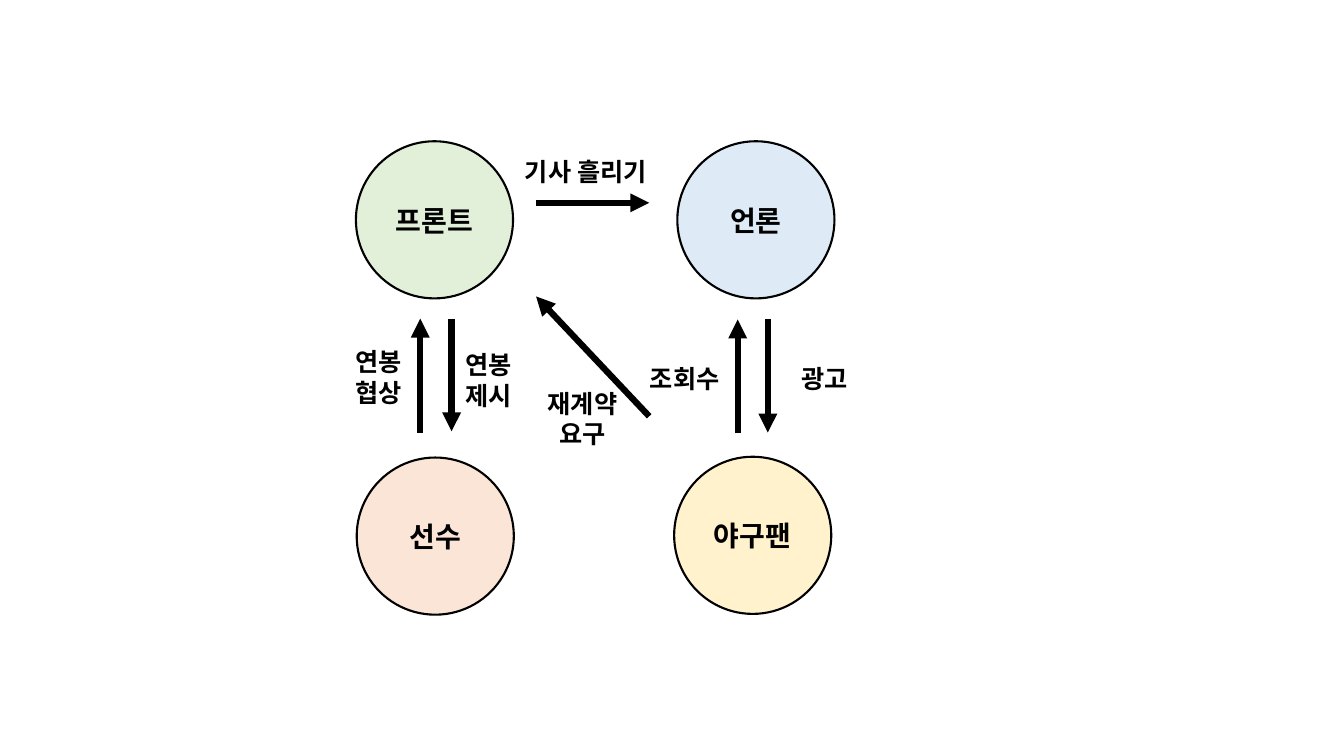
from lxml.etree import SubElement
from pptx import Presentation
from pptx.dml.color import RGBColor
from pptx.enum.shapes import MSO_CONNECTOR, MSO_SHAPE
from pptx.enum.text import MSO_ANCHOR, MSO_AUTO_SIZE, PP_ALIGN
from pptx.oxml.ns import qn
from pptx.util import Cm, Pt

FONT = "Noto Sans CJK KR"
COLORS = {
    "black": "000000",
    "green": "E2F0D9",
    "orange": "FBE5D6",
    "yellow": "FFF2CC",
    "blue": "DEEBF7",
}
DIAMETER = 3.96
LINE_HEIGHT = 0.78
LABEL_PADDING = 0.25

ACTORS = [
    ("프론트", 8.97, 3.56, "green"),
    ("선수", 8.99, 11.53, "orange"),
    ("야구팬", 16.99, 11.51, "yellow"),
    ("언론", 17.07, 3.56, "blue"),
]
ARROWS = [
    ((11.38, 8.03), (11.38, 10.87)),
    ((10.59, 10.9), (10.59, 8.03)),
    ((19.35, 8.03), (19.35, 10.9)),
    ((18.59, 10.92), (18.59, 8.05)),
    ((13.51, 5.11), (16.36, 5.11)),
    ((16.36, 10.49), (13.51, 7.47)),
]
LABELS = [
    (["조회수"], 16.13, 9.02, 2.44, PP_ALIGN.LEFT),
    (["광고"], 19.94, 9.02, 1.8, PP_ALIGN.LEFT),
    (["연봉", "협상"], 8.71, 8.61, 1.8, PP_ALIGN.LEFT),
    (["연봉", "제시"], 11.48, 8.69, 1.8, PP_ALIGN.LEFT),
    (["기사 흘리기"], 12.98, 3.81, 3.94, PP_ALIGN.LEFT),
    (["재계약", "요구"], 13.46, 9.65, 2.44, PP_ALIGN.CENTER),
]


def color(name):
    return RGBColor.from_string(COLORS[name])


def write_text(frame, lines, size=18, align=PP_ALIGN.LEFT):
    for index, line in enumerate(lines):
        paragraph = frame.add_paragraph() if index else frame.paragraphs[0]
        paragraph.alignment = align
        run = paragraph.add_run()
        run.text = line
        run.font.size = Pt(size)
        run.font.bold = True
        run.font.name = FONT
        run.font.color.rgb = color("black")
        SubElement(run.font._element, qn("a:ea"), typeface=FONT)


def add_actor(slide, name, left, top, fill):
    shape = slide.shapes.add_shape(
        MSO_SHAPE.OVAL, Cm(left), Cm(top), Cm(DIAMETER), Cm(DIAMETER))
    shape.shadow.inherit = False
    shape.fill.solid()
    shape.fill.fore_color.rgb = color(fill)
    shape.line.color.rgb = color("black")
    shape.line.width = Pt(1.5)
    shape.text_frame.vertical_anchor = MSO_ANCHOR.MIDDLE
    write_text(shape.text_frame, [name], size=20, align=PP_ALIGN.CENTER)


def add_arrow(slide, start, end):
    points = [Cm(value) for value in start + end]
    connector = slide.shapes.add_connector(MSO_CONNECTOR.STRAIGHT, *points)
    connector.line.color.rgb = color("black")
    connector.line.width = Pt(4.5)
    SubElement(connector.line._get_or_add_ln(), qn("a:tailEnd"), type="triangle")
    SubElement(connector._element.spPr, qn("a:effectLst"))


def add_label(slide, lines, left, top, width, align):
    height = LABEL_PADDING + LINE_HEIGHT * len(lines)
    box = slide.shapes.add_textbox(Cm(left), Cm(top), Cm(width), Cm(height))
    box.text_frame.word_wrap = False
    box.text_frame.auto_size = MSO_AUTO_SIZE.SHAPE_TO_FIT_TEXT
    write_text(box.text_frame, lines, align=align)


presentation = Presentation()
presentation.slide_width = Cm(33.87)
presentation.slide_height = Cm(19.05)
slide = presentation.slides.add_slide(presentation.slide_layouts[6])

for actor in ACTORS:
    add_actor(slide, *actor)
for arrow in ARROWS:
    add_arrow(slide, *arrow)
for label in LABELS:
    add_label(slide, *label)

presentation.save("out.pptx")
